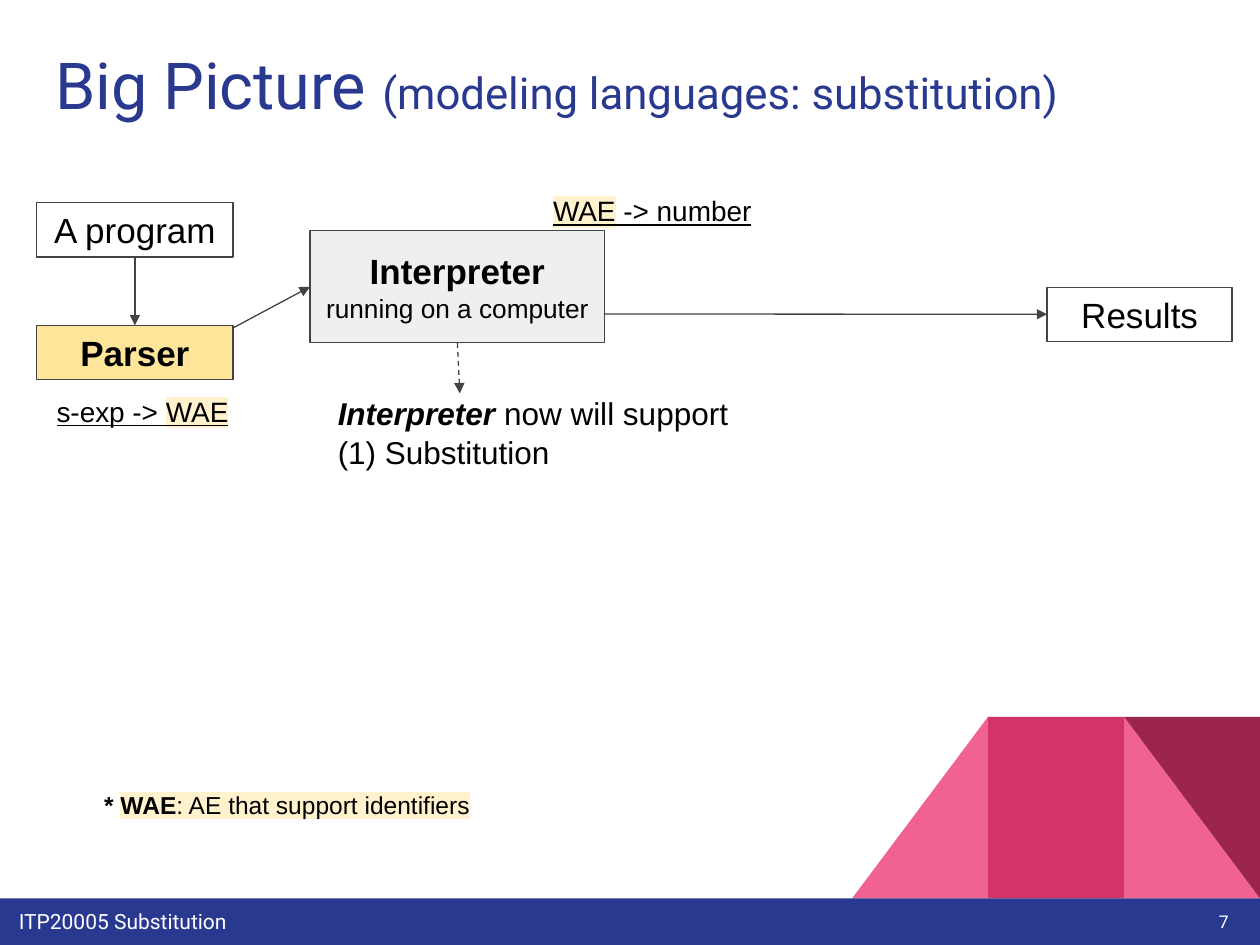
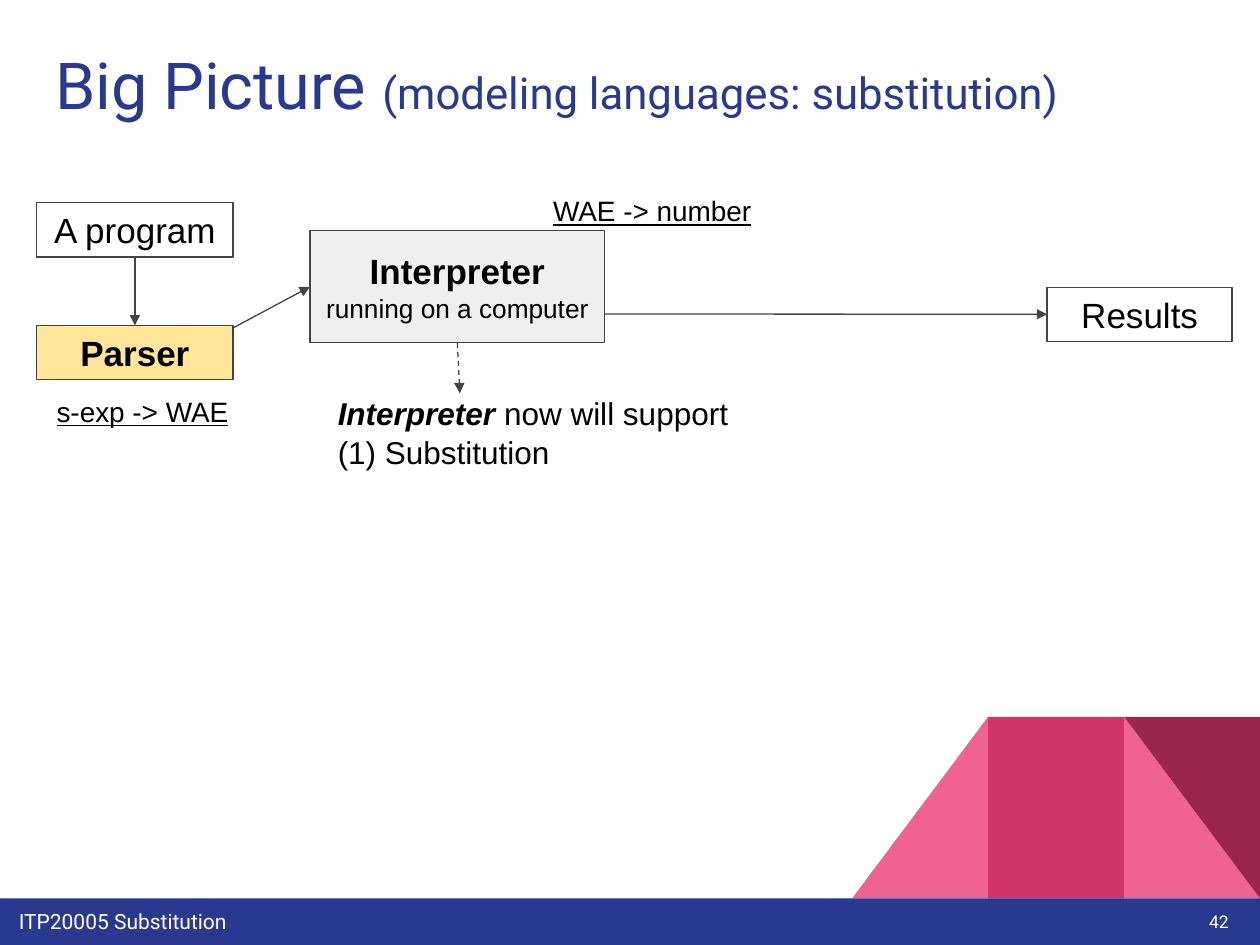
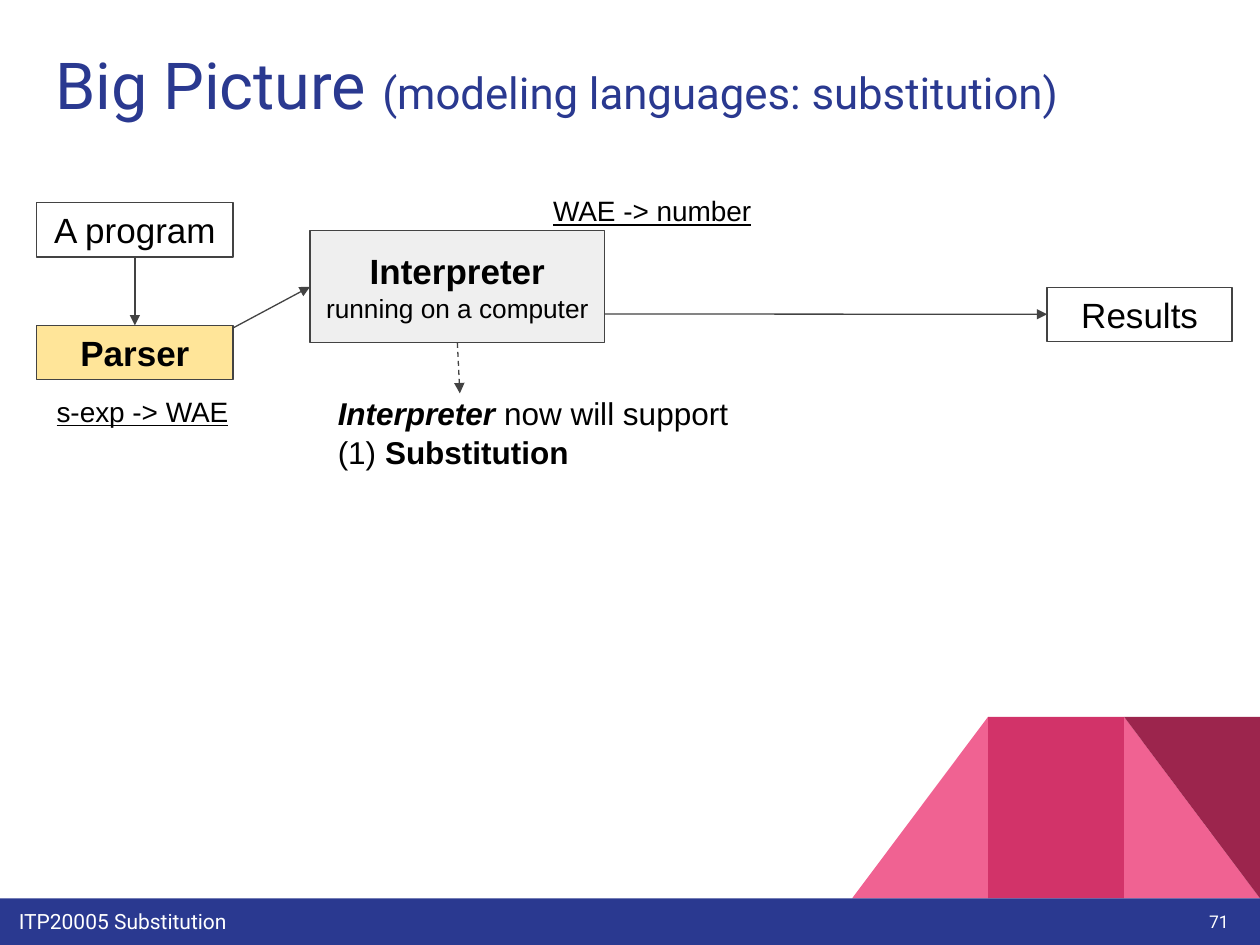
from lxml import etree
from pptx import Presentation
from pptx.dml.color import RGBColor
from pptx.enum import dml, shapes, text
from pptx.oxml import ns
from pptx.util import Cm, Pt

NAVY = RGBColor(0x2A, 0x39, 0x90)
PINK = RGBColor(0xF0, 0x62, 0x92)
ROSE = RGBColor(0xD2, 0x33, 0x69)
WINE = RGBColor(0x9C, 0x25, 0x4D)
YELLOW = RGBColor(0xFF, 0xE5, 0x99)
CREAM = RGBColor(0xFF, 0xF2, 0xCC)
GREY = RGBColor(0xEF, 0xEF, 0xEF)
DARK = RGBColor(0x43, 0x43, 0x43)
BLACK = RGBColor(0, 0, 0)
WHITE = RGBColor(0xFF, 0xFF, 0xFF)

SLIDE_W, SLIDE_H = 25.4, 19.05
BAR_H = 0.94
INSET = Cm(0.25)
LEFT, CENTER, RIGHT = (text.PP_ALIGN.LEFT, text.PP_ALIGN.CENTER,
                       text.PP_ALIGN.RIGHT)
TOP, MIDDLE = text.MSO_ANCHOR.TOP, text.MSO_ANCHOR.MIDDLE
RECT = shapes.MSO_SHAPE.RECTANGLE
TRIANGLE = shapes.MSO_SHAPE.RIGHT_TRIANGLE


# Text
def add_run(p, content, size=20, font="Arial", color=BLACK, bold=False,
            italic=False, underline=False, highlight=None):
    r = p.add_run()
    r.text = content
    f = r.font
    f.size, f.name, f.color.rgb = Pt(size), font, color
    f.bold, f.italic, f.underline = bold, italic, underline
    if highlight is not None:
        mark = etree.Element(ns.qn("a:highlight"))
        etree.SubElement(mark, ns.qn("a:srgbClr"), val=str(highlight))
        r._r.rPr.find(ns.qn("a:latin")).addprevious(mark)


def write(tf, paragraphs, align=LEFT, anchor=TOP, spacing=1.0, **style):
    """Fill a frame; each paragraph is a list of (text, overrides) runs."""
    tf.word_wrap, tf.auto_size = True, text.MSO_AUTO_SIZE.NONE
    tf.vertical_anchor = anchor
    tf.margin_left = tf.margin_right = INSET
    tf.margin_top = tf.margin_bottom = INSET
    for i, runs in enumerate(paragraphs):
        p = tf.add_paragraph() if i else tf.paragraphs[0]
        p.alignment, p.line_spacing = align, spacing
        for content, changes in runs:
            add_run(p, content, **{**style, **changes})


def add_text(s, x, y, w, h, paragraphs, **style):
    sp = s.shapes.add_textbox(Cm(x), Cm(y), Cm(w), Cm(h))
    write(sp.text_frame, paragraphs, **style)


# Shapes
def add_block(s, kind, x, y, w, h, fill=None, line=None):
    sp = s.shapes.add_shape(kind, Cm(x), Cm(y), Cm(w), Cm(h))
    sp.shadow.inherit = False
    if fill is None:
        sp.fill.background()
    else:
        sp.fill.solid()
        sp.fill.fore_color.rgb = fill
    if line is None:
        sp.line.fill.background()
    else:
        sp.line.color.rgb, sp.line.width = line, Pt(0.75)
    return sp


def add_node(s, x, y, w, h, runs, fill=None):
    sp = add_block(s, RECT, x, y, w, h, fill, DARK)
    write(sp.text_frame, [runs], align=CENTER, anchor=MIDDLE)


def add_arrow(s, x1, y1, x2, y2, dashed=False):
    c = s.shapes.add_connector(shapes.MSO_CONNECTOR.STRAIGHT,
                               Cm(x1), Cm(y1), Cm(x2), Cm(y2))
    c.line.color.rgb, c.line.width = DARK, Pt(0.75)
    if dashed:
        c.line.dash_style = dml.MSO_LINE.DASH
    etree.SubElement(c.line._get_or_add_ln(), ns.qn("a:tailEnd"),
                     type="triangle")
    etree.SubElement(c._element.spPr, ns.qn("a:effectLst"))


# Parts every slide shares
def add_corner(s, right, bottom, w=2.74, h=3.66):
    x1, x2, x3 = (right - n * w for n in (3, 2, 1))
    y = bottom - h
    add_block(s, TRIANGLE, x3, y, w, h, PINK)
    flipped = add_block(s, TRIANGLE, x1, y, w, h, PINK)
    flipped._element.spPr.xfrm.set("flipH", "1")
    add_block(s, RECT, x2, y, w, h, ROSE)
    add_block(s, TRIANGLE, x3, y, w, h, WINE).rotation = 180


def add_footer(s, top, number):
    add_block(s, RECT, 0, top, SLIDE_W, BAR_H, NAVY)
    style = dict(font="Roboto", color=WHITE)
    add_text(s, 0.13, top - 0.05, 18.67, 0.91,
             [[("ITP20005 Substitution", {})]], size=12, **style)
    add_text(s, 23.5, top - 0.25, 1.52, 1.45, [[(str(number), {})]],
             size=10, align=RIGHT, anchor=MIDDLE, **style)


def set_title(s, x, y, w, h):
    sp = s.shapes.title
    sp.left, sp.top, sp.width, sp.height = Cm(x), Cm(y), Cm(w), Cm(h)
    write(sp.text_frame,
          [[("Big Picture ", {}),
            ("(modeling languages: substitution)", {"size": 25})]],
          size=37, font="Roboto", color=NAVY)


# Parser and interpreter diagram
def add_diagram(s, x, y, highlight, topic):
    node_w, node_h = 3.96, 1.09
    program_y, parser_y = y + 0.43, y + 2.9
    interp_x, interp_y, interp_w, interp_h = x + 5.51, y + 0.99, 5.94, 2.26
    results_x, results_y = x + 20.37, y + 2.13
    bold, wae = {"bold": True}, ("WAE", {"highlight": highlight})

    add_node(s, interp_x, interp_y, interp_w, interp_h,
             [("Interpreter ", bold), ("running on a computer", {"size": 15})],
             GREY)
    add_node(s, x, program_y, node_w, node_h, [("A program", {})])
    add_node(s, x, parser_y, node_w, node_h, [("Parser", bold)], YELLOW)
    add_node(s, results_x, results_y, 3.73, node_h, [("Results", {})])

    add_arrow(s, x + node_w / 2, program_y + node_h, x + node_w / 2, parser_y)
    add_arrow(s, x + node_w, parser_y + 0.05,
              interp_x, interp_y + interp_h / 2)
    add_arrow(s, interp_x + interp_w, y + 2.67,
              results_x, results_y + node_h / 2)
    add_arrow(s, interp_x + interp_w / 2, interp_y + interp_h,
              x + 8.53, y + 4.27, dashed=True)

    add_text(s, x + 0.15, y + 4.04, 4.6, 1.02, [[("s-exp -> ", {}), wae]],
             size=16, underline=True)
    add_text(s, x + 10.16, y, 5.82, 0.84, [[wae, (" -> number", {})]],
             size=16, underline=True)
    add_text(s, x + 5.82, y + 3.99, 11.3, 2.39,
             [[("Interpreter ", {"bold": True, "italic": True}),
               ("now will support", {})],
              [("(1) ", {}), ("Substitution", topic)]],
             size=18, spacing=1.05)


def add_footnote(s, x, y):
    marked = {"highlight": CREAM}
    add_text(s, x, y, 13.87, 1.63,
             [[("* ", {"bold": True}), ("WAE", {"bold": True, **marked}),
               (": AE that support identifiers", marked)]], size=14)


def add_slide(prs, number, highlight=None, topic_bold=False):
    s = prs.slides.add_slide(prs.slide_layouts[5])
    bar_top = SLIDE_H - BAR_H
    add_corner(s, SLIDE_W, bar_top)
    add_footer(s, bar_top, number)
    set_title(s, 0.86, 0.66, 23.67, 2.26)
    add_diagram(s, 0.74, 3.66, highlight, {"bold": topic_bold})
    return s


def main():
    prs = Presentation()
    prs.slide_width, prs.slide_height = Cm(SLIDE_W), Cm(SLIDE_H)
    s = add_slide(prs, 7, highlight=CREAM)
    add_footnote(s, 1.85, 15.67)
    add_slide(prs, 42)
    add_slide(prs, 71, topic_bold=True)
    prs.save("out.pptx")


if __name__ == "__main__":
    main()
